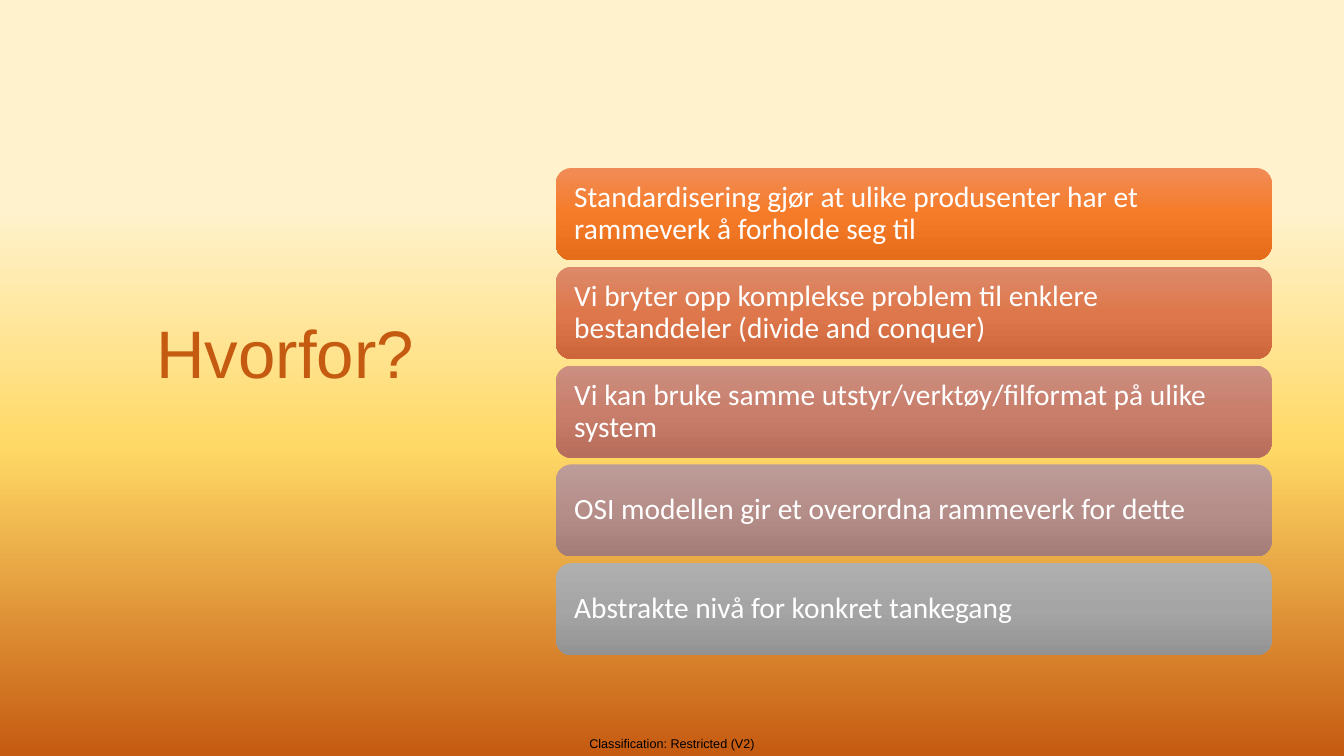
from lxml.etree import SubElement
from pptx import Presentation
from pptx.dml.color import RGBColor
from pptx.enum.shapes import MSO_SHAPE
from pptx.enum.text import MSO_ANCHOR, PP_ALIGN
from pptx.oxml.ns import qn
from pptx.util import Pt

COLORS = {
    "black": "000000",
    "white": "FFFFFF",
    "rust": "C55A11",
    "cream": "FFF2CC",
    "gold": "FFD966",
}
BACKGROUND_STOPS = [(28, COLORS["cream"]), (59, COLORS["gold"]), (100, COLORS["rust"])]

# Each reason with the top, middle and bottom colour of its bar
REASONS = [
    ("Standardisering gjør at ulike produsenter har et rammeverk å forholde seg til",
     ("F18C57", "F67B28", "E56C19")),
    ("Vi bryter opp komplekse problem til enklere bestanddeler (divide and conquer)",
     ("DD8A6A", "DE774B", "CD673B")),
    ("Vi kan bruke samme utstyr/verktøy/filformat på ulike system",
     ("CB8F81", "C97E6B", "B76D5B")),
    ("OSI modellen gir et overordna rammeverk for dette",
     ("BC9C99", "B68E89", "A47C78")),
    ("Abstrakte nivå for konkret tankegang",
     ("AFAFAF", "A5A5A5", "939393")),
]
BAR_LEFT, BAR_TOP, BAR_WIDTH, BAR_HEIGHT = 397.2, 120, 511.2, 65.8
BAR_PITCH = 70.56
BAR_INSET = 9.8


def set_gradient(fill, owner, stops):
    """Fill from top to bottom with (percent, hex) stops."""
    fill.gradient()
    fill.gradient_angle = 270
    stop_list = owner.find(".//" + qn("a:gsLst"))
    for old_stop in list(stop_list):
        stop_list.remove(old_stop)
    for percent, color in stops:
        stop = SubElement(stop_list, qn("a:gs"), pos=str(percent * 1000))
        SubElement(stop, qn("a:srgbClr"), val=color)


def write_text(shape, text, font_name, size, color, inset=None,
               align=PP_ALIGN.LEFT, line_spacing=1.0):
    frame = shape.text_frame
    frame.word_wrap = True
    frame.vertical_anchor = MSO_ANCHOR.MIDDLE
    if inset is not None:
        for side in ("left", "top", "right", "bottom"):
            setattr(frame, f"margin_{side}", Pt(inset))
    paragraph = frame.paragraphs[0]
    paragraph.text = text
    for name, value in {"alignment": align, "line_spacing": line_spacing}.items():
        setattr(paragraph, name, value)
    font = paragraph.runs[0].font
    for name, value in {"name": font_name, "size": Pt(size)}.items():
        setattr(font, name, value)
    font.color.rgb = RGBColor.from_string(COLORS[color])


def add_label(slide, left, top, width, height, text, **text_format):
    label = slide.shapes.add_textbox(Pt(left), Pt(top), Pt(width), Pt(height))
    write_text(label, text, **text_format)


def add_reason_bar(slide, top, text, colors):
    bar = slide.shapes.add_shape(MSO_SHAPE.ROUNDED_RECTANGLE, Pt(BAR_LEFT), Pt(top),
                                 Pt(BAR_WIDTH), Pt(BAR_HEIGHT))
    bar.shadow.inherit = False
    set_gradient(bar.fill, bar.element, zip((0, 50, 100), colors))
    bar.line.fill.background()
    write_text(bar, text, "Calibri", 21, "white", inset=BAR_INSET, line_spacing=0.9)


def main():
    presentation = Presentation()
    presentation.slide_width, presentation.slide_height = Pt(960), Pt(540)
    slide = presentation.slides.add_slide(presentation.slide_layouts[6])
    set_gradient(slide.background.fill, slide.element, BACKGROUND_STOPS)

    add_label(slide, 409.5, 521.5, 141, 18.5, "Classification: Restricted (V2)",
              font_name="Arial", size=9, color="black", inset=0, align=PP_ALIGN.CENTER)
    add_label(slide, 104.5, 75, 245, 360, "Hvorfor?",
              font_name="Arial", size=48, color="rust", line_spacing=0.9)
    for row, (reason, colors) in enumerate(REASONS):
        add_reason_bar(slide, BAR_TOP + row * BAR_PITCH, reason, colors)

    presentation.save("out.pptx")


if __name__ == "__main__":
    main()
